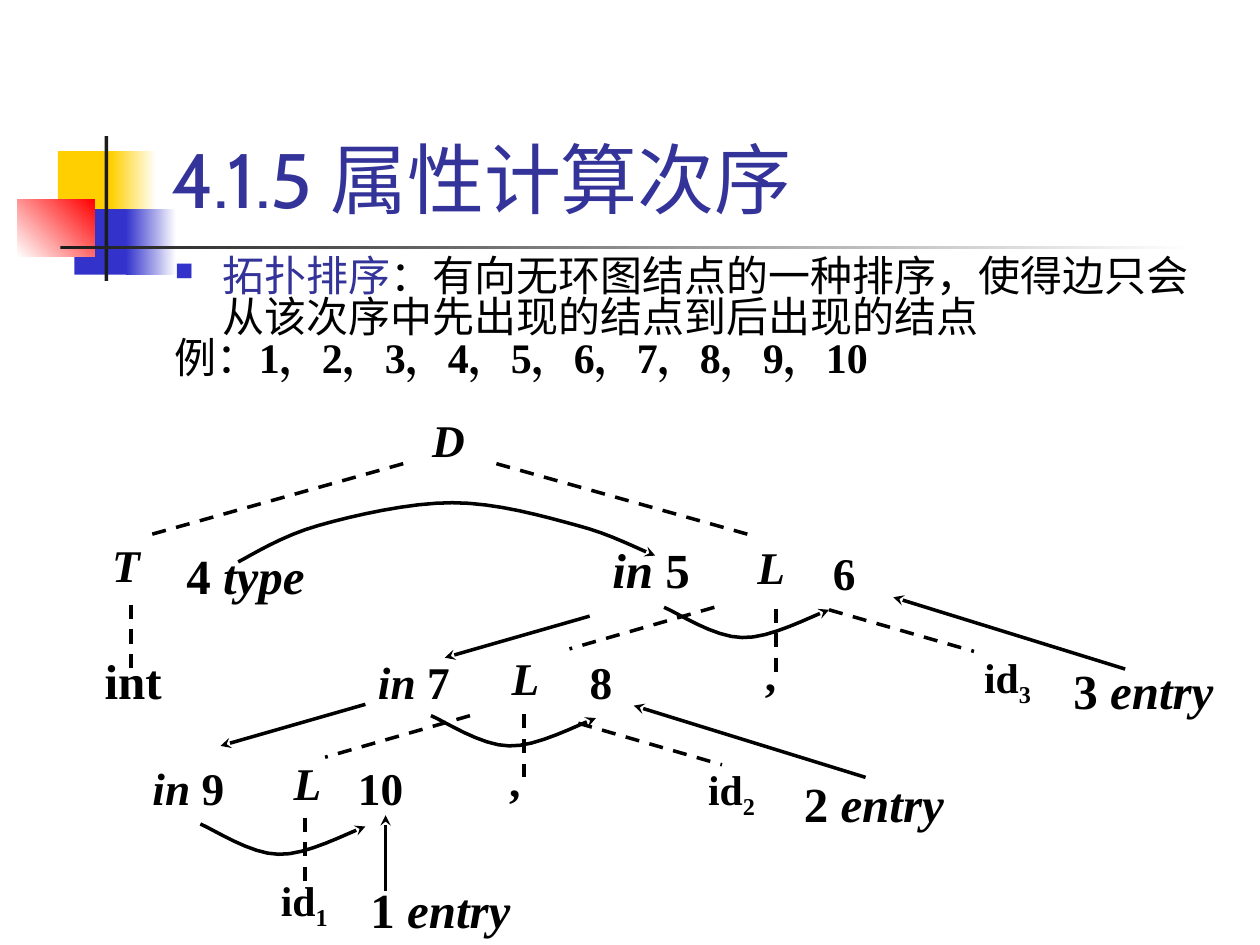
from dataclasses import dataclass

import pptx
import pptx.dml.color
import pptx.enum.dml
import pptx.enum.shapes
import pptx.enum.text
import pptx.oxml
import pptx.oxml.ns
import pptx.util

PX = 9144  # EMU in one px, 100 px to the inch


@dataclass(frozen=True)
class Theme:
    black: str = "000000"
    white: str = "FFFFFF"
    ink: str = "1C1C1C"
    indigo: str = "333399"
    blue: str = "3333CC"
    yellow: str = "FFCF01"
    red: str = "FF0000"
    title_font: str = "Cabin"
    chinese_font: str = "Noto Sans CJK SC"
    serif_font: str = "Times New Roman"
    title: float = 44
    body: float = 24
    large: float = 28
    node: float = 25.9
    identifier: float = 23.8
    line: float = 2


THEME = Theme()


@dataclass(frozen=True)
class Block:
    box: tuple[int, int, int, int]
    start: str
    end: str | None = None
    angle: int = 0


@dataclass(frozen=True)
class Run:
    text: str
    italic: bool = False
    subscript: bool = False


@dataclass(frozen=True)
class Label:
    box: tuple[int, int, int, int]
    size: float
    runs: tuple[Run, ...]


@dataclass(frozen=True)
class Edge:
    start: tuple[int, int]
    end: tuple[int, int]


BLOCKS = [
    Block((46, 120, 48, 52), THEME.yellow),
    Block((88, 120, 36, 52), THEME.yellow, THEME.white),
    Block((59, 166, 46, 52), THEME.blue),
    Block((100, 166, 40, 52), THEME.blue, THEME.white),
    Block((14, 158, 61, 46), THEME.white, THEME.red, 45),
    Block((83, 108, 3, 115), THEME.ink),
    Block((48, 195, 900, 3), THEME.ink, THEME.white),
]


def symbol(left: int, top: int, text: str, italic: bool = False) -> Label:
    return Label((left, top, 48, 48), THEME.node, (Run(text, italic),))


def inherited(left: int, top: int, number: str, size: float = THEME.node) -> Label:
    return Label((left, top, 90, 48), size, (Run("in ", True), Run(number)))


def synthesized(left: int, top: int, number: str, name: str) -> Label:
    return Label((left, top, 117, 53), THEME.large, (Run(number + " "), Run(name, True)))


def identifier(left: int, top: int, index: str) -> Label:
    return Label((left, top, 98, 48), THEME.identifier, (Run("id"), Run(index, subscript=True)))


LABELS = [
    symbol(341, 326, "D", True),
    symbol(87, 425, "T", True),
    symbol(599, 427, "L", True),
    symbol(404, 515, "L", True),
    symbol(231, 598, "L", True),
    symbol(605, 512, ","),
    symbol(402, 596, ","),
    symbol(659, 432, "6"),
    symbol(466, 518, "8"),
    symbol(282, 602, "10"),
    Label((81, 515, 118, 51), THEME.large, (Run("int"),)),
    identifier(779, 516, "3"),
    identifier(560, 605, "2"),
    identifier(221, 693, "1"),
    inherited(484, 427, "5", THEME.large),
    inherited(298, 518, "7"),
    inherited(119, 602, "9"),
    synthesized(146, 432, "4", "type"),
    synthesized(850, 523, "3", "entry"),
    synthesized(636, 613, "2", "entry"),
    synthesized(292, 697, "1", "entry"),
]
TREE_EDGES = [
    Edge((320, 368), (117, 425)), Edge((394, 368), (597, 425)),
    Edge((104, 480), (104, 531)), Edge((567, 482), (452, 515)),
    Edge((616, 483), (616, 534)), Edge((658, 484), (773, 517)),
    Edge((373, 568), (258, 601)), Edge((416, 567), (416, 617)),
    Edge((459, 574), (573, 607)), Edge((242, 649), (242, 699)),
]
DEPENDENCIES = [
    Edge((306, 707), (306, 647)), Edge((468, 489), (353, 522)),
    Edge((290, 559), (175, 592)), Edge((893, 531), (709, 474)),
    Edge((687, 617), (503, 560)),
]
# Each curve is a start point followed by three points for every Bezier piece.
TYPE_CURVE = [
    (189, 446), (199, 441), (224, 425), (253, 417), (281, 409), (325, 399), (359, 399),
    (394, 399), (432, 410), (458, 417), (485, 424), (507, 436), (520, 441),
]
DIP = [(0, 0), (10, 4), (40, 24), (62, 24), (84, 25), (117, 7), (131, 2)]
DIP_STARTS = [(159, 654), (342, 568), (527, 482)]


def color(value: str) -> pptx.dml.color.RGBColor:
    return pptx.dml.color.RGBColor.from_string(value)


def emu(lengths) -> list[int]:
    return [length * PX for length in lengths]


def style_run(run, size: float, value: str, latin: str, chinese: str = THEME.chinese_font) -> None:
    run.font.size = pptx.util.Pt(size)
    run.font.color.rgb = color(value)
    run.font.name = latin
    pptx.oxml.ns  # namespace helpers used below
    east_asian = run.font._element.makeelement(pptx.oxml.ns.qn("a:ea"), {"typeface": chinese})
    run.font._element.find(pptx.oxml.ns.qn("a:latin")).addnext(east_asian)


def draw_block(slide, block: Block) -> None:
    shape = slide.shapes.add_shape(pptx.enum.shapes.MSO_SHAPE.RECTANGLE, *emu(block.box))
    shape.shadow.inherit = False
    shape.line.fill.background()
    if block.end is None:
        shape.fill.solid()
        shape.fill.fore_color.rgb = color(block.start)
        return
    shape.fill.gradient()
    shape.fill.gradient_angle = block.angle
    for stop, value in zip(shape.fill.gradient_stops, (block.start, block.end)):
        stop.color.rgb = color(value)


def draw_title(slide) -> None:
    title = slide.shapes.title
    slide.shapes._spTree.append(title._element)
    title.left, title.top, title.width, title.height = emu((126, 23, 852, 160))
    title.text_frame.text = "4.1.5 属性计算次序"
    title.text_frame.vertical_anchor = pptx.enum.text.MSO_ANCHOR.BOTTOM
    paragraph = title.text_frame.paragraphs[0]
    paragraph.alignment = pptx.enum.text.PP_ALIGN.LEFT
    style_run(paragraph.runs[0], THEME.title, THEME.indigo, THEME.title_font)


def draw_body(slide) -> None:
    frame = slide.shapes.add_textbox(*emu((129, 200, 850, 130))).text_frame
    frame.word_wrap = True
    definition, example = frame.paragraphs[0], frame.add_paragraph()
    properties = definition._p.get_or_add_pPr()
    properties.set("marL", str(38 * PX))
    properties.set("indent", str(-38 * PX))
    namespace = pptx.oxml.ns.nsdecls("a")
    for element in (
        f'<a:buClr {namespace}><a:srgbClr val="{THEME.blue}"/></a:buClr>',
        f'<a:buSzPct {namespace} val="60000"/>',
        f'<a:buChar {namespace} char="■"/>',
    ):
        properties.append(pptx.oxml.parse_xml(element))
    for paragraph in (definition, example):
        paragraph.line_spacing = 0.82
    for paragraph, text, value, latin in (
        (definition, "拓扑排序", THEME.indigo, THEME.serif_font),
        (definition, "：有向无环图结点的一种排序，使得边只会从该次序中先出现的结点到后出现的结点",
         THEME.black, THEME.chinese_font),
        (example, "例：", THEME.black, THEME.chinese_font),
    ):
        run = paragraph.add_run()
        run.text = text
        style_run(run, THEME.body, value, latin)
    order = example.add_run()
    order.text = "，".join(str(number) for number in range(1, 11))
    style_run(order, THEME.body, THEME.black, THEME.serif_font, THEME.serif_font)
    order.font.bold = True


def draw_label(slide, label: Label) -> None:
    frame = slide.shapes.add_textbox(*emu(label.box)).text_frame
    frame.word_wrap = True
    frame.margin_left = frame.margin_right = 2 * PX
    frame.margin_top = frame.margin_bottom = PX
    for part in label.runs:
        run = frame.paragraphs[0].add_run()
        run.text = part.text
        style_run(run, label.size, THEME.black, THEME.serif_font)
        run.font.bold = True
        run.font.italic = part.italic
        if part.subscript:
            run.font._element.set("baseline", "-25000")


def style_line(shape, arrow: bool) -> None:
    shape.line.color.rgb = color(THEME.black)
    shape.line.width = pptx.util.Pt(THEME.line)
    if arrow:
        namespace = pptx.oxml.ns.nsdecls("a")
        shape.line._get_or_add_ln().append(
            pptx.oxml.parse_xml(f'<a:tailEnd {namespace} type="stealth"/>'))
    else:
        shape.line.dash_style = pptx.enum.dml.MSO_LINE.DASH


def draw_edge(slide, edge: Edge, arrow: bool) -> None:
    connector = slide.shapes.add_connector(
        pptx.enum.shapes.MSO_CONNECTOR.STRAIGHT, *emu(edge.start + edge.end))
    style_line(connector, arrow)
    connector._element.spPr.append(
        pptx.oxml.parse_xml(f'<a:effectLst {pptx.oxml.ns.nsdecls("a")}/>'))


def draw_curve(slide, points: list[tuple[int, int]], steps: int = 8) -> None:
    """Draw chained cubic Bezier pieces as one fine polyline with an arrowhead."""
    builder = slide.shapes.build_freeform(*emu(points[0]))
    vertices = []
    for first in range(0, len(points) - 1, 3):
        for t in (step / steps for step in range(1, steps + 1)):
            weights = ((1 - t) ** 3, 3 * t * (1 - t) ** 2, 3 * t * t * (1 - t), t ** 3)
            piece = zip(*points[first:first + 4])
            vertices.append([round(PX * sum(w * v for w, v in zip(weights, axis))) for axis in piece])
    builder.add_line_segments(vertices, close=False)
    curve = builder.convert_to_shape()
    curve.shadow.inherit = False
    curve.fill.background()
    style_line(curve, arrow=True)


def main() -> None:
    presentation = pptx.Presentation()
    presentation.slide_width, presentation.slide_height = emu((1000, 750))
    slide = presentation.slides.add_slide(presentation.slide_layouts[5])
    for block in BLOCKS:
        draw_block(slide, block)
    draw_title(slide)
    draw_body(slide)
    for label in LABELS:
        draw_label(slide, label)
    for edge in TREE_EDGES:
        draw_edge(slide, edge, arrow=False)
    for edge in DEPENDENCIES:
        draw_edge(slide, edge, arrow=True)
    draw_curve(slide, TYPE_CURVE)
    for left, top in DIP_STARTS:
        draw_curve(slide, [(left + x, top + y) for x, y in DIP])
    presentation.save("out.pptx")


if __name__ == "__main__":
    main()
